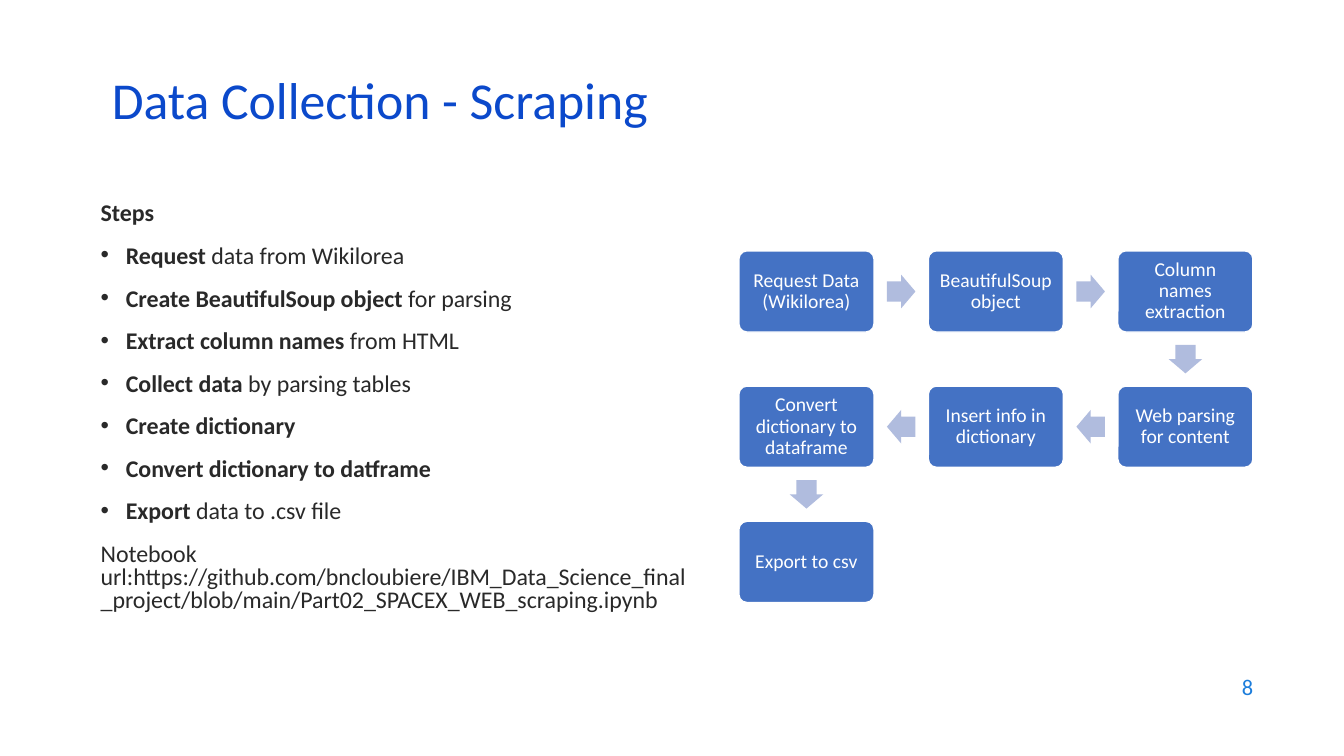
from lxml import etree
from pptx import Presentation
from pptx.dml.color import RGBColor
from pptx.enum import shapes, text
from pptx.oxml import ns
from pptx.util import Pt

STEPS = [
    ("Request ", "data from Wikilorea"),
    ("Create BeautifulSoup object ", "for parsing"),
    ("Extract column names", " from HTML"),
    ("Collect data", " by parsing tables"),
    ("Create dictionary", ""),
    ("Convert dictionary to datframe", ""),
    ("Export ", "data to .csv file"),
]
NOTE = ("Notebook url:https://github.com/bncloubiere/IBM_Data_Science_final"
        "_project/blob/main/Part02_SPACEX_WEB_scraping.ipynb")
FLOW = [
    "Request Data (Wikilorea)", "BeautifulSoup object",
    "Column names extraction", "Web parsing for content",
    "Insert info in dictionary", "Convert dictionary to dataframe",
    "Export to csv",
]


def color(code):
    """Return the colour for a hex string."""
    return RGBColor.from_string(code)


def assign(item, values):
    """Set every attribute named in a dict of values."""
    for name, value in values.items():
        setattr(item, name, value)


def write(para, words, size, code, bold=False):
    """Add one styled run to a paragraph."""
    run = para.add_run()
    run.text = words
    assign(run.font, {"name": "Calibri", "size": Pt(size), "bold": bold})
    run.font.color.rgb = color(code)


def frame(slide, box, anchor):
    """Add a wrapping text box and return its frame."""
    area = slide.shapes.add_textbox(*map(Pt, box)).text_frame
    assign(area, {"word_wrap": True, "vertical_anchor": anchor})
    return area


def bullet(para):
    """Give a paragraph a hanging round bullet."""
    props = para._p.get_or_add_pPr()
    props.set("marL", str(Pt(18)))
    props.set("indent", str(-Pt(18)))
    font = etree.SubElement(props, ns.qn("a:buFont"))
    font.set("typeface", "Arial")
    mark = etree.SubElement(props, ns.qn("a:buChar"))
    mark.set("char", "•")


def title(slide, box):
    """Place and format the slide title."""
    holder = slide.shapes.title
    assign(holder, dict(zip(("left", "top", "width", "height"), map(Pt, box))))
    area = holder.text_frame
    assign(area, {"word_wrap": True, "auto_size": text.MSO_AUTO_SIZE.NONE,
                  "vertical_anchor": text.MSO_ANCHOR.MIDDLE})
    para = area.paragraphs[0]
    assign(para, {"alignment": text.PP_ALIGN.LEFT, "line_spacing": 0.7})
    write(para, "Data Collection - Scraping", 37, "0B49CB")


def steps(slide, box):
    """Write the list of steps and the notebook address."""
    area = frame(slide, box, text.MSO_ANCHOR.TOP)
    rows = [("Steps", ""), *STEPS, ("", NOTE)]
    for i, (strong, plain) in enumerate(rows):
        para = area.add_paragraph() if i else area.paragraphs[0]
        assign(para, {"line_spacing": 0.8, "space_before": Pt(14 if i else 0)})
        if 0 < i < len(rows) - 1:
            bullet(para)
        for words, bold in ((strong, True), (plain, False)):
            if words:
                write(para, words, 17.1, "292929", bold)


def block(slide, kind, box, fill, adjust):
    """Add a filled shape with no shadow or outline."""
    shape = slide.shapes.add_shape(kind, *map(Pt, box))
    shape.shadow.inherit = False
    shape.fill.solid()
    shape.fill.fore_color.rgb = color(fill)
    shape.line.fill.background()
    for i, value in enumerate(adjust):
        shape.adjustments[i] = value
    return shape


def node(slide, box, words):
    """Draw one labelled step of the flow."""
    shape = block(slide, shapes.MSO_SHAPE.ROUNDED_RECTANGLE, box,
                  "4472C4", [0.1])
    shape.line.color.rgb = color("FFFFFF")
    shape.line.width = Pt(1)
    area = shape.text_frame
    assign(area, {"word_wrap": True,
                  "vertical_anchor": text.MSO_ANCHOR.MIDDLE})
    assign(area, {f"margin_{side}": Pt(4.2)
                  for side in ("left", "top", "right", "bottom")})
    para = area.paragraphs[0]
    assign(para, {"alignment": text.PP_ALIGN.CENTER, "line_spacing": 0.9})
    write(para, words, 14, "FFFFFF")


def flow(slide, box):
    """Lay out the steps row by row in a winding path of arrows."""
    left, top, width, height = box
    wide, high, cols, rows = 96.5, 58, 3, 3
    across, down = (width - wide) / (cols - 1), (height - high) / (rows - 1)
    last = None
    for i, words in enumerate(FLOW):
        row, col = divmod(i, cols)
        if row % 2:
            col = cols - 1 - col
        x, y = left + col * across, top + row * down
        if last:
            midx, midy = (x + last[0] + wide) / 2, (y + last[1] + high) / 2
            arrow = block(slide, shapes.MSO_SHAPE.RIGHT_ARROW,
                          (midx - 10.2, midy - 12, 20.4, 24),
                          "B0BCDE", [0.6, 0.5])
            arrow.rotation = 90 if y > last[1] else 180 if x < last[0] else 0
        node(slide, (x, y, wide, high), words)
        last = x, y


def number(slide, box):
    """Write the page number."""
    para = frame(slide, box, text.MSO_ANCHOR.MIDDLE).paragraphs[0]
    para.alignment = text.PP_ALIGN.RIGHT
    write(para, "8", 16, "1C7DDB")


def main():
    """Build and save the slide."""
    deck = Presentation()
    assign(deck, {"slide_width": Pt(960), "slide_height": Pt(540)})
    slide = deck.slides.add_slide(deck.slide_layouts[5])
    title(slide, (72.7, 54.7, 828, 43.2))
    steps(slide, (64.8, 141.8, 438.5, 332.6))
    flow(slide, (527.8, 179.2, 367.2, 251.2))
    number(slide, (686.2, 474.5, 216, 31.7))
    deck.save("out.pptx")


if __name__ == "__main__":
    main()
